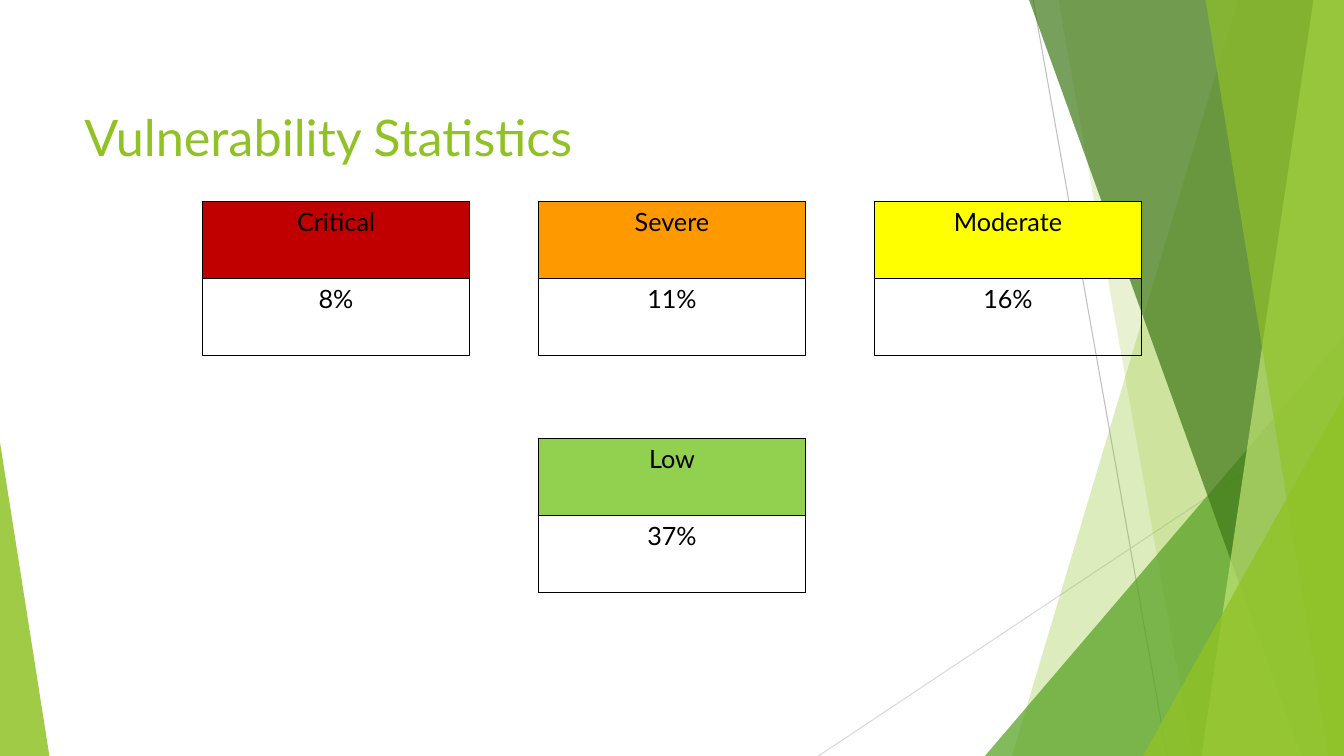
"""Build the vulnerability statistics slide."""
import collections
import pptx
import pptx.dml.color
import pptx.enum.shapes
import pptx.enum.text
import pptx.oxml
import pptx.oxml.ns
import pptx.util

Pt = pptx.util.Pt
RGBColor = pptx.dml.color.RGBColor
Align = pptx.enum.text.PP_ALIGN
Anchor = pptx.enum.text.MSO_ANCHOR
Box = collections.namedtuple("Box", "left top width height")

FONT = "Lato"
BLACK = RGBColor(0, 0, 0)
LIME = RGBColor(0x90, 0xC2, 0x26)
GREEN = RGBColor(0x54, 0xA0, 0x21)
FOREST = RGBColor(0x3F, 0x78, 0x19)
PALE_LIME = RGBColor(0xC0, 0xE4, 0x74)
GRAY = RGBColor(0xBF, 0xBF, 0xBF)
LIGHT_GRAY = RGBColor(0xD9, 0xD9, 0xD9)
RED = RGBColor(0xC0, 0, 0)
ORANGE = RGBColor(0xFF, 0x99, 0)
YELLOW = RGBColor(0xFF, 0xFF, 0)
LOW_GREEN = RGBColor(0x92, 0xD0, 0x50)

SEVERITIES = [
    ("Critical", "8%", RED, 0, 0),
    ("Severe", "11%", ORANGE, 0, 1),
    ("Moderate", "16%", YELLOW, 0, 2),
    ("Low", "37%", LOW_GREEN, 1, 1),
]


def make_element(xml):
    """Parse a fragment of DrawingML, with its namespace added."""
    return pptx.oxml.parse_xml(xml.replace(" ", " " + pptx.oxml.ns.nsdecls("a") + " ", 1))


def write_text(frame, text, size=18, color=BLACK, align=Align.LEFT, spacing=1.0):
    """Put one formatted paragraph into a text frame."""
    para = frame.paragraphs[0]
    para.alignment = align
    para.line_spacing = spacing
    span = para.add_run()
    span.text = text
    span.font.name = FONT
    span.font.size = Pt(size)
    span.font.color.rgb = color


def paint(shape, color, opacity):
    """Give a shape a see-through fill without line or shadow."""
    shape.shadow.inherit = False
    shape.line.fill.background()
    shape.fill.solid()
    shape.fill.fore_color.rgb = color
    tint = shape.fill._xPr.find(".//" + pptx.oxml.ns.qn("a:srgbClr"))
    tint.append(make_element(f'<a:alpha val="{opacity * 1000}"/>'))


def add_ribbon(page, box, top_x, bottom_x, color, opacity):
    """Fill the box from a slanted left edge to its right side."""
    right, bottom = box.left + box.width, box.top + box.height
    builder = page.shapes.build_freeform(Pt(box.left + top_x), Pt(box.top), scale=1.0)
    corners = [(right, box.top), (right, bottom), (box.left + bottom_x, bottom)]
    builder.add_line_segments([(Pt(x), Pt(y)) for x, y in corners])
    paint(builder.convert_to_shape(), color, opacity)


def add_corner(page, box, width, height, color, opacity, peak):
    """Stand a right triangle in a lower corner: peak 0 is left, 1 is right."""
    left = box.left + peak * (box.width - width)
    shape = page.shapes.add_shape(
        pptx.enum.shapes.MSO_SHAPE.ISOSCELES_TRIANGLE,
        Pt(left), Pt(box.top + box.height - height), Pt(width), Pt(height))
    shape.adjustments[0] = peak
    paint(shape, color, opacity)


def add_hairline(page, box, start, end, color):
    """Draw a thin line between two points of the box."""
    ends = [Pt(corner + offset) for point in (start, end)
            for corner, offset in zip((box.left, box.top), point)]
    line = page.shapes.add_connector(pptx.enum.shapes.MSO_CONNECTOR.STRAIGHT, *ends)
    line.line.color.rgb = color
    line.line.width = Pt(0.75)
    line._element.spPr.append(make_element("<a:effectLst />"))


def add_facets(page, box):
    """Layer the green facets on the right side."""
    add_hairline(page, box, (158, 0), (253.8, box.height), GRAY)
    add_hairline(page, box, (box.width, 290.2), (4.6, box.height), LIGHT_GRAY)
    add_ribbon(page, box, 304.2, 142.9, LIME, 30)
    add_ribbon(page, box, 176, 271.8, LIME, 20)
    add_corner(page, box, 256.5, 300, GREEN, 72, peak=1)
    add_ribbon(page, box, 155.1, 349.5, FOREST, 70)
    add_ribbon(page, box, 358.2, 278.2, PALE_LIME, 70)
    add_ribbon(page, box, 281.1, 369, LIME, 65)
    add_corner(page, box, 143.5, 257, LIME, 80, peak=1)


def add_title(page, box):
    """Move and format the title placeholder."""
    title = page.shapes.title
    title.left, title.top, title.width, title.height = map(Pt, box)
    title.text_frame.vertical_anchor = Anchor.MIDDLE
    title.text_frame.word_wrap = True
    write_text(title.text_frame, "Vulnerability Statistics", size=36, color=LIME, spacing=0.9)


def outline_cell(cell):
    """Draw a thin black border on all four sides of a cell."""
    for side in "LRTB":
        cell._tc.get_or_add_tcPr().append(make_element(
            f'<a:ln{side} w="12700"><a:solidFill><a:srgbClr val="{BLACK}"/>'
            f"</a:solidFill></a:ln{side}>"))


def add_severity(page, box, name, share, color):
    """Add a two-row table with a severity and its share."""
    table = page.shapes.add_table(2, 1, *map(Pt, box)).table
    table.first_row = table.horz_banding = False
    for row, text in enumerate((name, share)):
        cell = table.cell(row, 0)
        outline_cell(cell)
        write_text(cell.text_frame, text, align=Align.CENTER)
        cell.fill.background()
    heading = table.cell(0, 0)
    heading.fill.solid()
    heading.fill.fore_color.rgb = color


def add_statistics(page, box):
    """Place the severity tables on a grid of three columns and two rows."""
    width, height = 191, 110
    column_step = (box.width - width) / 2
    row_step = box.height - height
    for name, share, color, row, column in SEVERITIES:
        place = Box(box.left + column * column_step, box.top + row * row_step, width, height)
        add_severity(page, place, name, share, color)


def main():
    """Build and save the deck."""
    deck = pptx.Presentation()
    deck.slide_width, deck.slide_height = Pt(960), Pt(540)
    page = deck.slides.add_slide(deck.slide_layouts.get_by_name("Title Only"))
    add_facets(page, Box(580, 0, 380, 540))
    add_corner(page, Box(0, 0, 960, 540), 35.3, 224, LIME, 85, peak=0)
    add_title(page, Box(53, 48, 677, 104))
    add_statistics(page, Box(144.5, 144, 671, 279))
    deck.save("out.pptx")


main()
